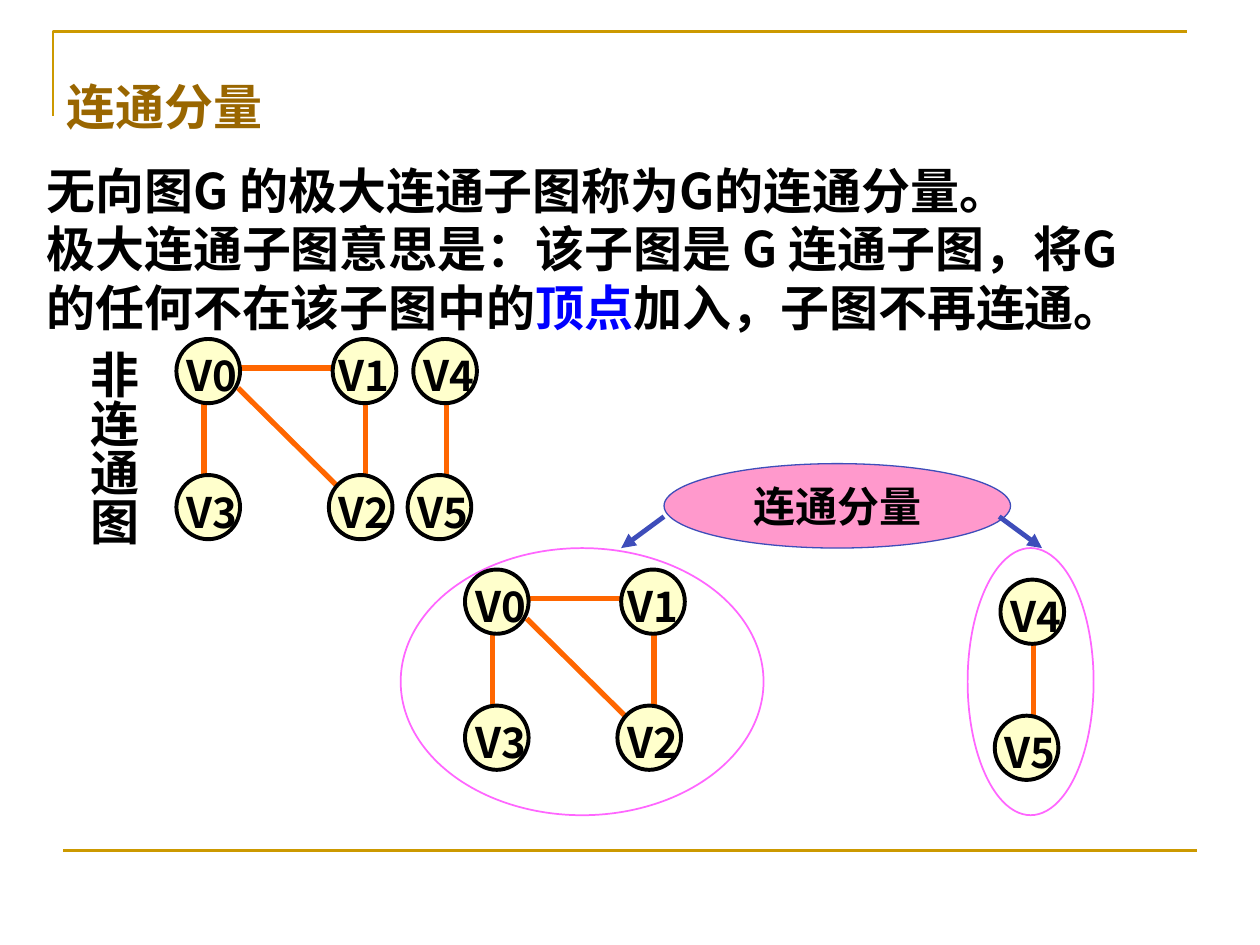
from dataclasses import dataclass

import pptx
import pptx.dml.color
import pptx.enum.shapes
import pptx.enum.text
import pptx.oxml.ns
import pptx.util
from lxml import etree

COLUMNS, ROWS = 100, 75  # slide grid
CJK = "Noto Sans CJK SC"
GOLD, BROWN, BLACK, BLUE = "CC9900", "996600", "000000", "0000FF"
ORANGE, CREAM, MAGENTA = "FF6600", "FFFFCC", "FF66FF"
PINK, INDIGO = "FF99CC", "3E4DBA"

deck = pptx.Presentation()
deck.slide_width = pptx.util.Inches(10)
deck.slide_height = pptx.util.Inches(7.5)
page = deck.slides.add_slide(deck.slide_layouts[6])


@dataclass(frozen=True)
class Area:
    """A rectangle in grid columns and rows."""
    column: float
    row: float
    width: float
    height: float


@dataclass(frozen=True)
class Node:
    """A vertex, placed relative to its component; label_shift moves its label."""
    label: str
    column: float
    row: float
    label_shift: float = -0.5


@dataclass(frozen=True)
class Edge:
    """A line between two points, relative to its component."""
    start: tuple[float, float]
    end: tuple[float, float]


@dataclass(frozen=True)
class Component:
    nodes: tuple[Node, ...]
    edges: tuple[Edge, ...]


def across(columns: float) -> int:
    return round(deck.slide_width * columns / COLUMNS)


def down(rows: float) -> int:
    return round(deck.slide_height * rows / ROWS)


def place(area: Area) -> tuple[int, int, int, int]:
    return across(area.column), down(area.row), across(area.width), down(area.height)


def paint(target, color: str) -> None:
    """Colour a font, or a fill or line format."""
    if hasattr(target, "solid"):
        target.solid()
        target.fore_color.rgb = pptx.dml.color.RGBColor.from_string(color)
    else:
        target.color.rgb = pptx.dml.color.RGBColor.from_string(color)


def style_run(span, size: float, color: str = BLACK, font: str = CJK) -> None:
    span.font.size = pptx.util.Pt(size)
    span.font.bold = True
    span.font.name = font
    paint(span.font, color)
    latin = span.font._element.find(pptx.oxml.ns.qn("a:latin"))
    east_asian = etree.Element(pptx.oxml.ns.qn("a:ea"), typeface=CJK)
    latin.addnext(east_asian)


def add_text(area: Area, text: str, size: float, color: str = BLACK, font: str = CJK,
             insets: tuple[float, float, float, float] = (1, 0.9, 1, 0.5)):
    """Add a bold text box; insets run left, top, right, bottom."""
    box = page.shapes.add_textbox(*place(area))
    frame = box.text_frame
    frame.word_wrap = True
    frame.margin_left, frame.margin_right = across(insets[0]), across(insets[2])
    frame.margin_top, frame.margin_bottom = down(insets[1]), down(insets[3])
    frame.text = text
    para = frame.paragraphs[0]
    para.line_spacing = pptx.util.Pt(round(size * 1.19, 1))
    for span in para.runs:
        style_run(span, size, color, font)
    return box


def add_ellipse(area: Area, line: str, weight: float, fill: str | None = None):
    shape = page.shapes.add_shape(pptx.enum.shapes.MSO_SHAPE.OVAL, *place(area))
    shape.shadow.inherit = False
    if fill:
        paint(shape.fill, fill)
    else:
        shape.fill.background()
    paint(shape.line, line)
    shape.line.width = pptx.util.Pt(weight)
    return shape


def add_line(start: tuple[float, float], end: tuple[float, float],
             color: str, weight: float, arrow: bool = False) -> None:
    line = page.shapes.add_connector(
        pptx.enum.shapes.MSO_CONNECTOR.STRAIGHT,
        across(start[0]), down(start[1]), across(end[0]), down(end[1]))
    paint(line.line, color)
    line.line.width = pptx.util.Pt(weight)
    properties = line._element.spPr
    if arrow:
        etree.SubElement(properties.find(pptx.oxml.ns.qn("a:ln")),
                         pptx.oxml.ns.qn("a:tailEnd"), type="triangle")
    etree.SubElement(properties, pptx.oxml.ns.qn("a:effectLst"))


def draw_component(component: Component, column: float, row: float) -> None:
    for edge in component.edges:
        add_line((column + edge.start[0], row + edge.start[1]),
                 (column + edge.end[0], row + edge.end[1]), ORANGE, 3)
    for node in component.nodes:
        left, top = column + node.column, row + node.row
        add_ellipse(Area(left, top, 5.05, 5.1), BLACK, 2.25, CREAM)
        add_text(Area(left + node.label_shift, top, 7.1, 5), node.label, 24,
                 insets=(1.3, 0.9, 0.5, 0.5))


TRIANGLE = Component(
    nodes=(Node("V0", 0, 0), Node("V2", 12.1, 10.8), Node("V3", 0, 10.8),
           Node("V1", 12.4, 0, -0.8)),
    edges=(Edge((4.9, 3.9), (13.2, 12.1)), Edge((2.2, 4.9), (2.2, 11.3)),
           Edge((5, 2.3), (12.8, 2.3)), Edge((15, 4.9), (15, 11.3))))
PAIR = Component(
    nodes=(Node("V5", -0.45, 10.8), Node("V4", 0, 0)),
    edges=(Edge((2.65, 4.5), (2.65, 10.9)),))

# Frame rules
corner = page.shapes.build_freeform(across(4.2), down(9.2), scale=1.0)
corner.add_line_segments([(across(4.2), down(2.5)), (across(94.2), down(2.5))], close=False)
bracket = corner.convert_to_shape()
bracket.shadow.inherit = False
bracket.fill.background()
paint(bracket.line, GOLD)
bracket.line.width = pptx.util.Pt(1.5)
add_line((5, 67.5), (95, 67.5), GOLD, 1.5)

# Title and vertical caption
add_text(Area(4.3, 5.2, 60, 5.7), "连通分量", 28, BROWN, "DejaVu Sans")
caption = add_text(Area(5.4, 26.8, 6.6, 20.8), "非连通图", 28, insets=(0.5, 1, 0.7, 1))
caption.text_frame._txBody.bodyPr.set("vert", "eaVert")
caption.text_frame.paragraphs[0].alignment = pptx.enum.text.PP_ALIGN.CENTER

# Definition with one highlighted word
definition = add_text(
    Area(2.7, 11.8, 90, 19.7),
    "无向图G 的极大连通子图称为G的连通分量。\v"
    "极大连通子图意思是：该子图是 G 连通子图，将G 的任何不在该子图中的", 28,
    insets=(1, 1, 0.8, 0.5))
for words, color in (("顶点", BLUE), ("加入，子图不再连通。", BLACK)):
    span = definition.text_frame.paragraphs[0].add_run()
    span.text = words
    style_run(span, 28, color)

# Disconnected graph
draw_component(TRIANGLE, 14, 26.9)
draw_component(PAIR, 32.8, 26.9)

# Its two connected components, each ringed
add_ellipse(Area(31.8, 43.5, 28.8, 21.2), MAGENTA, 1)
draw_component(TRIANGLE, 36.9, 45.2)
add_ellipse(Area(76.8, 43.5, 10, 21.2), MAGENTA, 1)
draw_component(PAIR, 79.4, 46)

# Callout with arrows to both rings
callout = add_ellipse(Area(52.7, 36.8, 27.5, 6.7), INDIGO, 0.75, PINK)
callout.text_frame.word_wrap = False
callout.text_frame.text = "连通分量"
callout.text_frame.vertical_anchor = pptx.enum.text.MSO_ANCHOR.MIDDLE
callout_para = callout.text_frame.paragraphs[0]
callout_para.alignment = pptx.enum.text.PP_ALIGN.CENTER
style_run(callout_para.runs[0], 24, font="Times New Roman")
for start, end in ((52.7, 49.3), (79.3, 82.7)):
    add_line((start, 41), (end, 43.5), INDIGO, 2.75, arrow=True)

deck.save("out.pptx")
